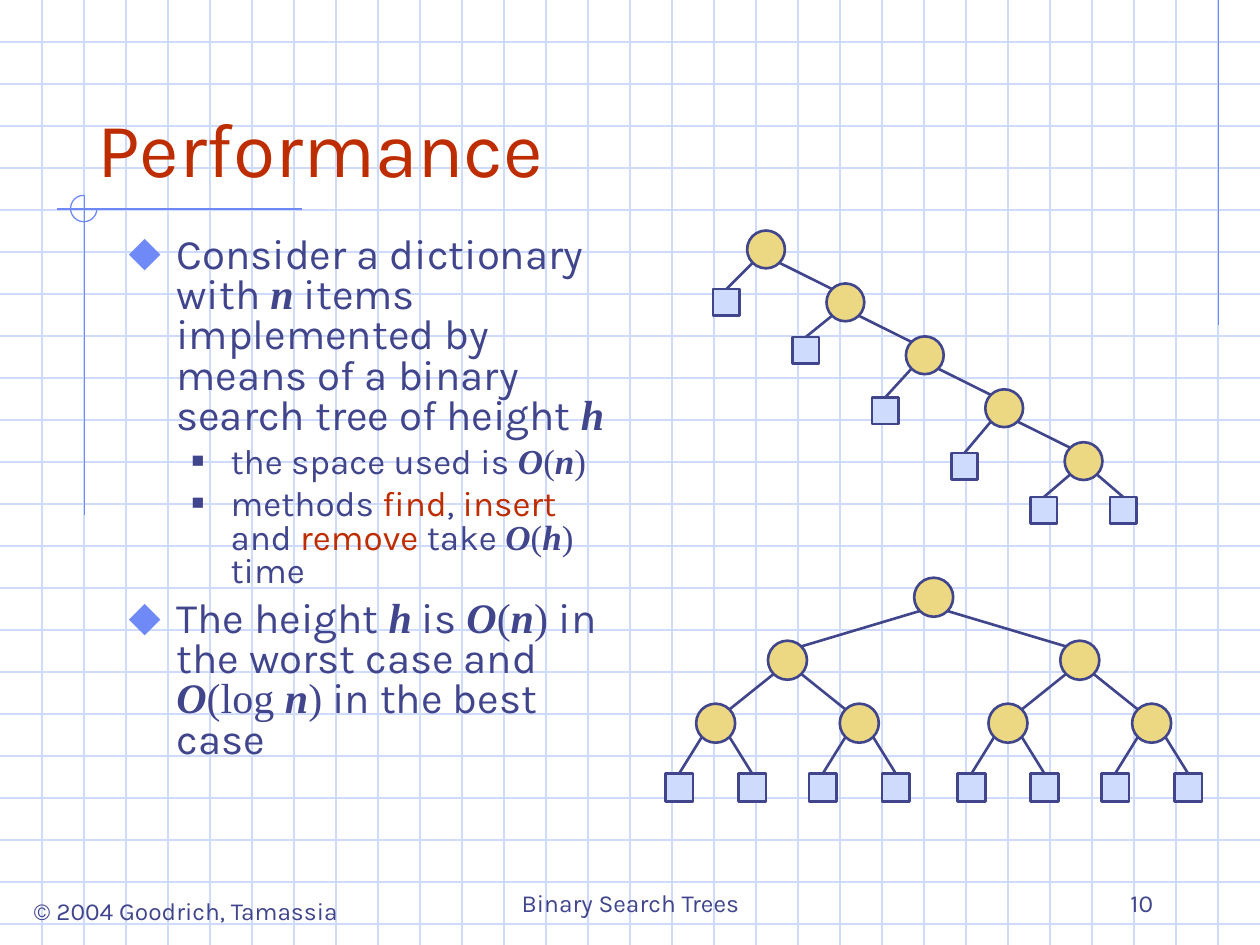
from math import sqrt

from lxml.etree import SubElement
from pptx import Presentation
from pptx.dml.color import RGBColor
from pptx.enum.shapes import MSO_CONNECTOR, MSO_SHAPE
from pptx.enum.text import MSO_ANCHOR, MSO_AUTO_SIZE, PP_ALIGN
from pptx.oxml.ns import qn
from pptx.util import Inches, Pt

INK = RGBColor(0x40, 0x45, 0x8C)
RED = RGBColor(0xBE, 0x2D, 0x00)
ACCENT = RGBColor(0x6F, 0x89, 0xF7)
PALE = RGBColor(0xCF, 0xDB, 0xFD)
GOLD = RGBColor(0xEC, 0xD8, 0x82)
SANS, SERIF = "Karla", "Times New Roman"

WIDTH, HEIGHT = 10, 7.5
GRID_STEP = 1 / 3

# Run style: font, bold and italic, colour
STYLES = {
    "plain": (SANS, False, INK),
    "method": (SANS, False, RED),
    "variable": (SERIF, True, INK),
    "math": (SERIF, False, INK),
}
# Level: size, left indent, hanging indent, space before, bullet, its colour, its percentage
LEVELS = [
    (24, 0.38, 0.38, 6, "⬥", ACCENT, 110),
    (20, 0.81, 0.31, 5, "■", INK, 60),
]
BODY = [
    (0, [("Consider a dictionary with ", "plain"), ("n", "variable"),
         (" items implemented by means of a binary search tree of height ", "plain"),
         ("h", "variable")]),
    (1, [("the space used is ", "plain"), ("O", "variable"), ("(", "math"),
         ("n", "variable"), (")", "math")]),
    (1, [("methods ", "plain"), ("find", "method"), (", ", "plain"), ("insert", "method"),
         (" and ", "plain"), ("remove", "method"), (" take ", "plain"), ("O", "variable"),
         ("(", "math"), ("h", "variable"), (") ", "math"), ("time", "plain")]),
    (0, [("The height ", "plain"), ("h", "variable"), (" is ", "plain"), ("O", "variable"),
         ("(", "math"), ("n", "variable"), (") ", "math"), ("in the worst case and ", "plain"),
         ("O", "variable"), ("(log ", "math"), ("n", "variable"), (")", "math"),
         (" in the best case", "plain")]),
]
# Text, left, top, width, height, anchor, alignment
FOOTERS = [
    ("© 2004 Goodrich, Tamassia", 0.12, 7.06, 2.71, 0.34, MSO_ANCHOR.TOP, PP_ALIGN.CENTER),
    ("Binary Search Trees", 3.42, 6.83, 3.17, 0.5, MSO_ANCHOR.BOTTOM, PP_ALIGN.CENTER),
    ("10", 7.17, 6.83, 2.08, 0.5, MSO_ANCHOR.BOTTOM, PP_ALIGN.RIGHT),
]
ACCENT_LINES = [(9.67, 0, 9.67, 2.58), (2.4, 1.66, 0.45, 1.66), (0.67, 1.55, 0.67, 4.09)]

SPINE_STEP = (0.63, 0.42)
SPINE_LEAVES = [2.4, 2.78, 3.26, 3.7, 4.05]
BALANCED_ROWS = [4.74, 5.24, 5.74, 6.25]
BALANCED_SPREAD = [1.16, 0.57, 0.29]


def spine_tree(x, y, leaf_rows):
    """Return a tree that grows only to the right, as (x, y, children)."""
    dx, dy = SPINE_STEP
    left = (x - dx / 2, leaf_rows[0], [])
    if len(leaf_rows) == 1:
        return x, y, [left, (x + dx / 2, leaf_rows[0], [])]
    return x, y, [left, spine_tree(x + dx, y + dy, leaf_rows[1:])]


def balanced_tree(x, depth=0):
    """Return a full tree as (x, y, children)."""
    children = []
    if depth < len(BALANCED_SPREAD):
        spread = BALANCED_SPREAD[depth]
        children = [balanced_tree(x + side * spread, depth + 1) for side in (-1, 1)]
    return x, BALANCED_ROWS[depth], children


def add_line(slide, x1, y1, x2, y2, color, weight=0.75):
    line = slide.shapes.add_connector(
        MSO_CONNECTOR.STRAIGHT, Inches(x1), Inches(y1), Inches(x2), Inches(y2))
    line.line.color.rgb = color
    line.line.width = Pt(weight)
    SubElement(line.element.spPr, qn("a:effectLst"))
    return line


def add_node(slide, kind, x, y, size, fill):
    node = slide.shapes.add_shape(
        kind, Inches(x - size / 2), Inches(y - size / 2), Inches(size), Inches(size))
    node.shadow.inherit = False
    node.fill.solid()
    node.fill.fore_color.rgb = fill
    node.line.color.rgb = INK
    node.line.width = Pt(1.5)
    return node


def draw_tree(slide, tree, circle, square):
    """Draw inner nodes as circles, leaves as squares, and the edges between them."""
    x, y, children = tree
    if not children:
        return add_node(slide, MSO_SHAPE.RECTANGLE, x, y, square, PALE)
    reach = circle / 2 / sqrt(2)
    for child in children:
        child_x, child_y, grandchildren = child
        side = 1 if child_x > x else -1
        shape = draw_tree(slide, child, circle, square)
        edge = add_line(slide, x + side * reach, y + reach,
                        child_x - side * reach, child_y - reach, INK, 1.5)
        if not grandchildren:
            edge.end_connect(shape, 0)
    return add_node(slide, MSO_SHAPE.OVAL, x, y, circle, GOLD)


def place(shape, left, top, width, height):
    shape.left, shape.top = Inches(left), Inches(top)
    shape.width, shape.height = Inches(width), Inches(height)


def style_run(span, size, style="plain"):
    name, slanted, color = STYLES[style]
    span.font.name, span.font.size = name, Pt(size)
    span.font.bold = span.font.italic = slanted
    span.font.color.rgb = color


def format_bullet(para, level):
    _, indent, hanging, before, mark, color, percent = LEVELS[level]
    para.level = level
    para.line_spacing = 0.8
    para.space_before = Pt(before)
    properties = para._p.get_or_add_pPr()
    properties.set("marL", str(Inches(indent)))
    properties.set("indent", str(-Inches(hanging)))
    bullet_color = SubElement(properties, qn("a:buClr"))
    SubElement(bullet_color, qn("a:srgbClr")).set("val", str(color))
    SubElement(properties, qn("a:buSzPct")).set("val", str(percent * 1000))
    SubElement(properties, qn("a:buChar")).set("char", mark)


def draw_background(slide):
    for i in range(1, int(HEIGHT / GRID_STEP) + 1):
        add_line(slide, 0, i * GRID_STEP, WIDTH, i * GRID_STEP, PALE)
    for i in range(1, round(WIDTH / GRID_STEP)):
        add_line(slide, i * GRID_STEP, 0, i * GRID_STEP, HEIGHT, PALE)
    for ends in ACCENT_LINES:
        add_line(slide, *ends, ACCENT)
    arc = slide.shapes.add_shape(
        MSO_SHAPE.ARC, Inches(0.56), Inches(1.55), Inches(0.21), Inches(0.21))
    arc.adjustments[0], arc.adjustments[1] = 0, 162  # from 0 to 270 degrees
    arc.shadow.inherit = False
    arc.fill.background()
    arc.line.color.rgb = ACCENT
    arc.line.width = Pt(0.75)


def write_text(slide):
    title, body = slide.shapes.title, slide.placeholders[1]
    for holder in (title, body):
        slide.shapes.element.append(holder.element)  # in front of the grid
        holder.text_frame.auto_size = MSO_AUTO_SIZE.NONE
    place(title, 0.67, 0.33, 8.5, 1.25)
    title.text_frame.text = "Performance"
    title.text_frame.vertical_anchor = MSO_ANCHOR.BOTTOM
    heading = title.text_frame.paragraphs[0]
    heading.alignment = PP_ALIGN.LEFT
    style_run(heading.runs[0], 44, "method")

    place(body, 0.92, 1.83, 4.08, 5)
    frame = body.text_frame
    for i, (level, spans) in enumerate(BODY):
        para = frame.add_paragraph() if i else frame.paragraphs[0]
        format_bullet(para, level)
        for text, style in spans:
            span = para.add_run()
            span.text = text
            style_run(span, LEVELS[level][0], style)

    for text, left, top, width, height, anchor, alignment in FOOTERS:
        box = slide.shapes.add_textbox(
            Inches(left), Inches(top), Inches(width), Inches(height))
        box.text_frame.word_wrap = True
        box.text_frame.vertical_anchor = anchor
        box.text_frame.text = text
        para = box.text_frame.paragraphs[0]
        para.alignment = alignment
        style_run(para.runs[0], 14)


def main():
    deck = Presentation()
    deck.slide_width, deck.slide_height = Inches(WIDTH), Inches(HEIGHT)
    slide = deck.slides.add_slide(deck.slide_layouts[1])
    draw_background(slide)
    write_text(slide)
    draw_tree(slide, spine_tree(6.08, 1.98, SPINE_LEAVES), 0.3, 0.21)
    draw_tree(slide, balanced_tree(7.41), 0.31, 0.22)
    deck.save("out.pptx")


if __name__ == "__main__":
    main()
